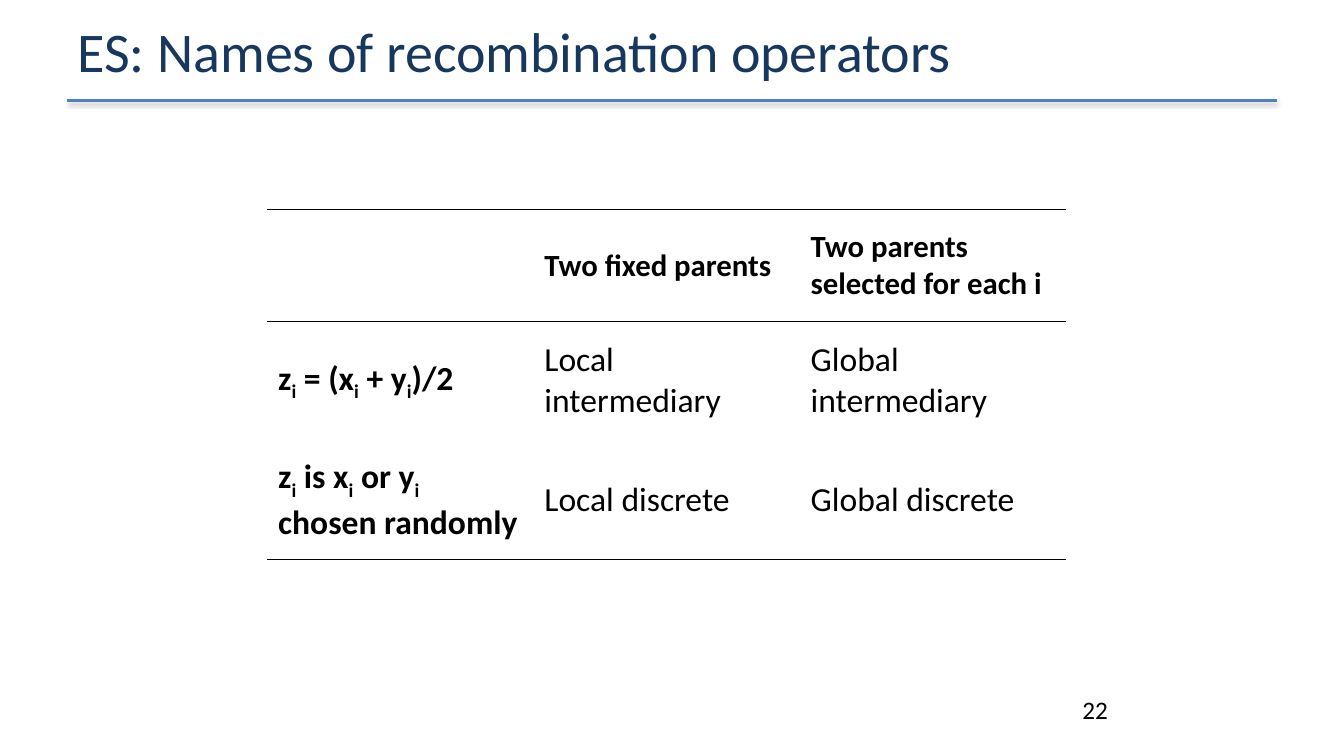
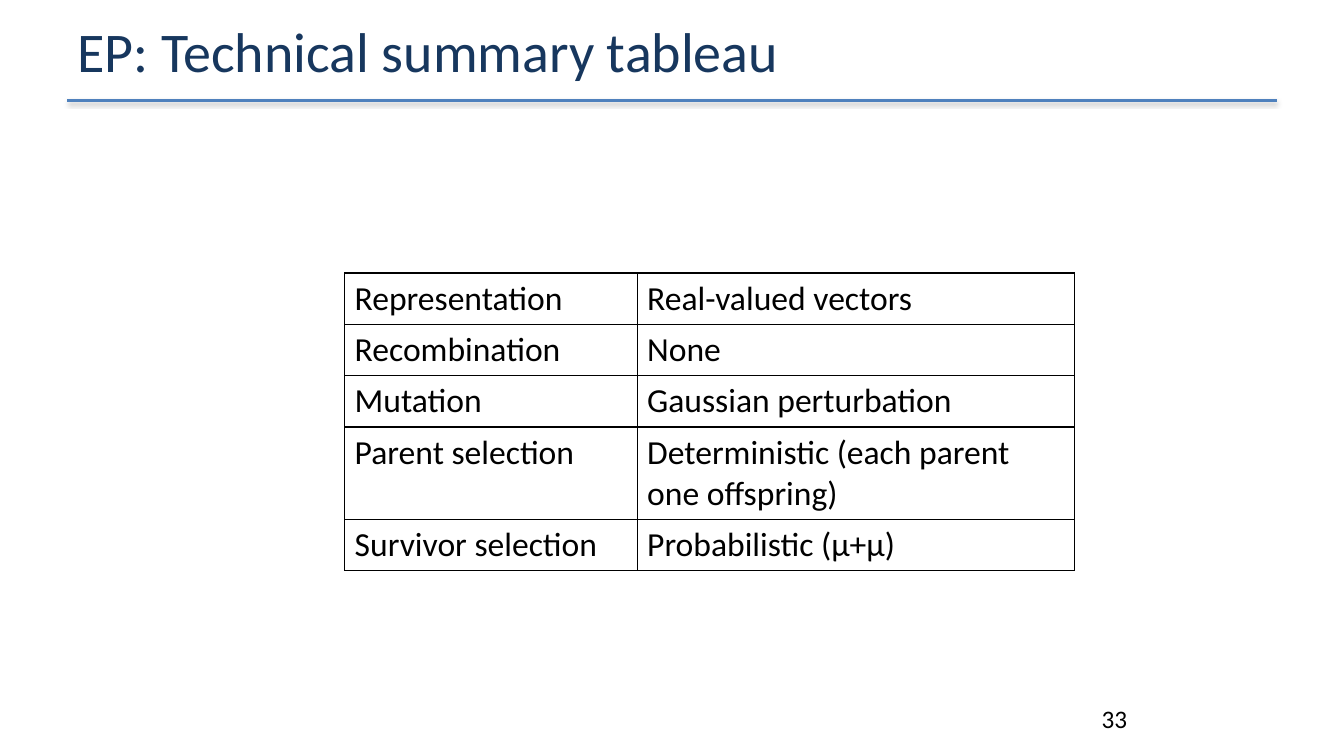
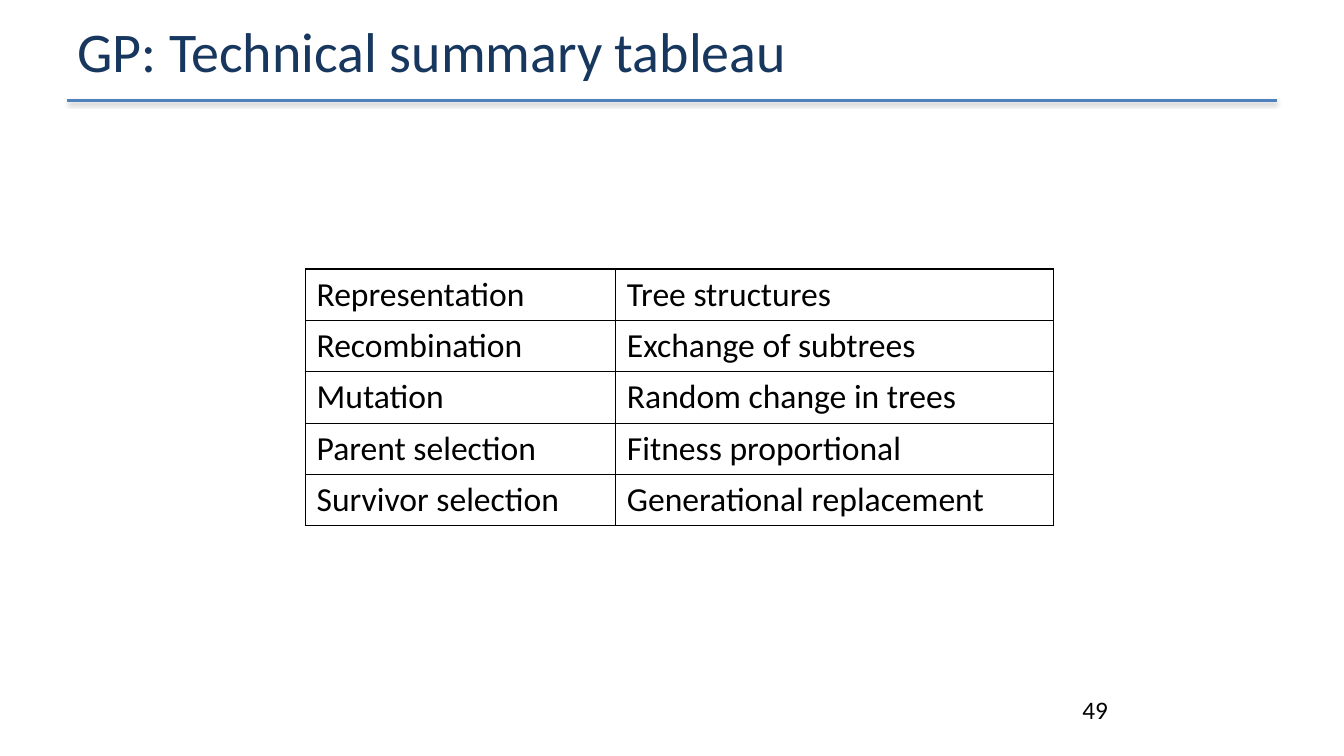
from lxml.etree import SubElement
from pptx import Presentation
from pptx.dml.color import RGBColor
from pptx.enum.shapes import MSO_CONNECTOR as Connector
from pptx.enum.text import MSO_ANCHOR as Anchor, MSO_AUTO_SIZE as AutoSize, PP_ALIGN as Align
from pptx.oxml.ns import qn
from pptx.util import Cm, Pt

COLORS = {"title": "17375E", "rule": "4F81BD", "text": "000000", "shadow": "000000"}
FONT = "Calibri"
TITLE_ONLY = 5
RULE_LEFT, RULE_RIGHT, RULE_Y = 1.7, 32.18, 2.54
TITLE_BOX = (RULE_LEFT, 0.05, RULE_RIGHT - RULE_LEFT, 2.41)
NUMBER_BOX = (27.03, 17.37, 2.62, 1.4)
LINE_ROW, TWO_LINE_ROW = 1.29, 2.32

# Text between bars is a subscript: "z|i|" is z with index i.
SLIDES = [
    {
        "title": "ES: Names of recombination operators",
        "number": "22",
        "number_box": NUMBER_BOX,
        "rows": [
            ("", "Two fixed parents", "Two parents selected for each i"),
            ("z|i| = (x|i| + y|i|)/2", "Local intermediary", "Global intermediary"),
            ("z|i| is x|i| or y|i| chosen randomly", "Local discrete", "Global discrete"),
        ],
        "origin": (6.73, 5.28),
        "widths": [6.71] * 3,
        "heights": [2.82, 3, 3],
        "inset": 0.28,
        "headed": True,
    },
    {
        "title": "EP: Technical summary tableau",
        "number": "33",
        "number_box": (27.51, 17.6, 2.1, 1.02),
        "rows": [
            ("Representation", "Real-valued vectors"),
            ("Recombination", "None"),
            ("Mutation", "Gaussian perturbation"),
            ("Parent selection", "Deterministic (each parent one offspring)"),
            ("Survivor selection", "Probabilistic (μ+μ)"),
        ],
        "origin": (8.69, 6.88),
        "widths": [7.37, 11.02],
        "heights": [LINE_ROW] * 3 + [TWO_LINE_ROW, LINE_ROW],
        "inset": 0.25,
        "headed": False,
    },
    {
        "title": "GP: Technical summary tableau",
        "number": "49",
        "number_box": NUMBER_BOX,
        "rows": [
            ("Representation", "Tree structures"),
            ("Recombination", "Exchange of subtrees"),
            ("Mutation", "Random change in trees"),
            ("Parent selection", "Fitness proportional"),
            ("Survivor selection", "Generational replacement"),
        ],
        "origin": (7.7, 6.78),
        "widths": [7.82, 11.02],
        "heights": [LINE_ROW] * 5,
        "inset": 0.28,
        "headed": False,
    },
]


def set_all(target, **values):
    for name, value in values.items():
        setattr(target, name, value)


def place(shape, box):
    set_all(shape, **dict(zip(("left", "top", "width", "height"), map(Cm, box))))


def style(font, size, color="text", bold=False):
    set_all(font, name=FONT, size=Pt(size), bold=bold)
    font.color.rgb = RGBColor.from_string(COLORS[color])


def add_title(slide, text):
    title = slide.shapes.title
    place(title, TITLE_BOX)
    frame = title.text_frame
    frame.text = text
    set_all(frame, vertical_anchor=Anchor.MIDDLE, auto_size=AutoSize.NONE, word_wrap=True,
            margin_left=Cm(0.25), margin_right=Cm(0.25), margin_top=0, margin_bottom=0)
    frame.paragraphs[0].alignment = Align.LEFT
    style(frame.paragraphs[0].runs[0].font, 40, "title")


def add_rule(slide):
    """Draw the line under the title with its soft shadow."""
    rule = slide.shapes.add_connector(
        Connector.STRAIGHT, Cm(RULE_LEFT), Cm(RULE_Y), Cm(RULE_RIGHT), Cm(RULE_Y))
    rule.line.width = Pt(2)
    rule.line.color.rgb = RGBColor.from_string(COLORS["rule"])
    effects = SubElement(rule._element.spPr, qn("a:effectLst"))
    shadow = SubElement(effects, qn("a:outerShdw"), blurRad=str(Pt(3.1)), dist=str(Pt(1.6)),
                        dir="5400000", rotWithShape="0")
    color = SubElement(shadow, qn("a:srgbClr"), val=COLORS["shadow"])
    SubElement(color, qn("a:alpha"), val="38000")


def add_number(slide, text, box):
    frame = slide.shapes.add_textbox(*map(Cm, box)).text_frame
    frame.word_wrap = True
    frame.text = text
    style(frame.paragraphs[0].runs[0].font, 18)


def set_borders(cell, drawn):
    """Draw the edges named in drawn (letters of LRTB) and clear the others."""
    properties = cell._tc.get_or_add_tcPr()
    for edge in "LRTB":
        line = SubElement(properties, qn(f"a:ln{edge}"), w=str(Pt(1)))
        if edge in drawn:
            fill = SubElement(line, qn("a:solidFill"))
            SubElement(fill, qn("a:srgbClr"), val=COLORS["text"])
        else:
            SubElement(line, qn("a:noFill"))


def write_cell(cell, text, size, bold):
    paragraph = cell.text_frame.paragraphs[0]
    for index, part in enumerate(text.split("|")):
        if part:
            run = paragraph.add_run()
            run.text = part
            style(run.font, size, bold=bold)
            if index % 2:
                run._r.get_or_add_rPr().set("baseline", "-25000")


def add_grid(slide, rows, origin, widths, heights, inset, headed):
    box = (*origin, sum(widths), sum(heights))
    table = slide.shapes.add_table(len(rows), len(widths), *map(Cm, box)).table
    set_all(table, first_row=False, horz_banding=False)
    for column, width in zip(table.columns, widths):
        column.width = Cm(width)
    for row, height in zip(table.rows, heights):
        row.height = Cm(height)

    last = len(rows) - 1
    headed_edges = {0: "TB", 1: "T", last: "B"}
    for r, texts in enumerate(rows):
        for c, text in enumerate(texts):
            cell = table.cell(r, c)
            set_borders(cell, headed_edges.get(r, "") if headed else "LRTB")
            cell.fill.background()
            set_all(cell, margin_left=Cm(inset), margin_right=Cm(inset),
                    margin_top=Cm(0.13), margin_bottom=Cm(0.13),
                    vertical_anchor=Anchor.MIDDLE if headed else Anchor.TOP)
            is_header = headed and r == 0
            write_cell(cell, text, 22 if is_header else 24, headed and (r == 0 or c == 0))


def main():
    deck = Presentation()
    set_all(deck, slide_width=Cm(33.87), slide_height=Cm(19.05))
    for content in SLIDES:
        slide = deck.slides.add_slide(deck.slide_layouts[TITLE_ONLY])
        add_rule(slide)
        add_title(slide, content["title"])
        add_grid(slide, *(content[key] for key in
                          ("rows", "origin", "widths", "heights", "inset", "headed")))
        add_number(slide, content["number"], content["number_box"])
    deck.save("out.pptx")


if __name__ == "__main__":
    main()
